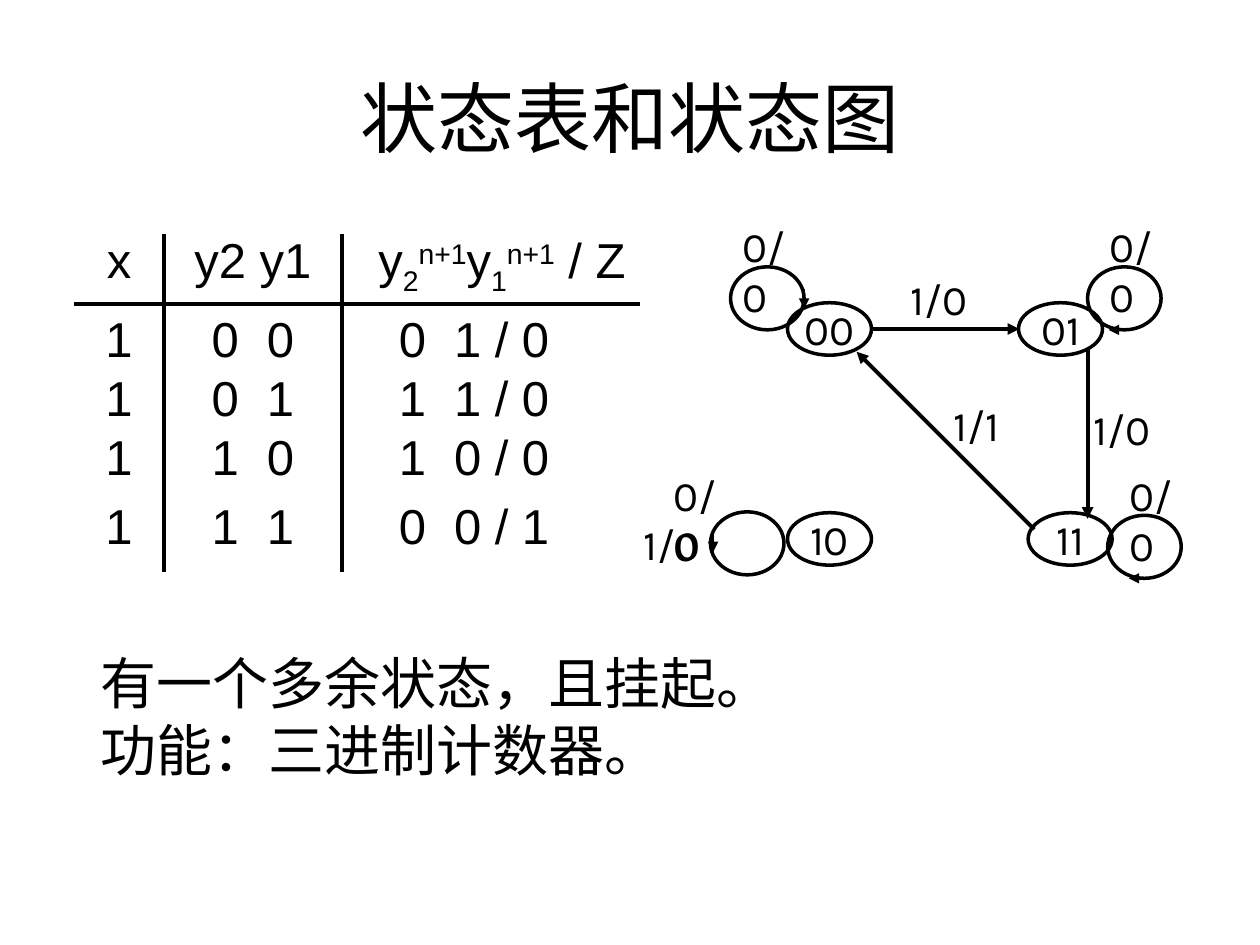
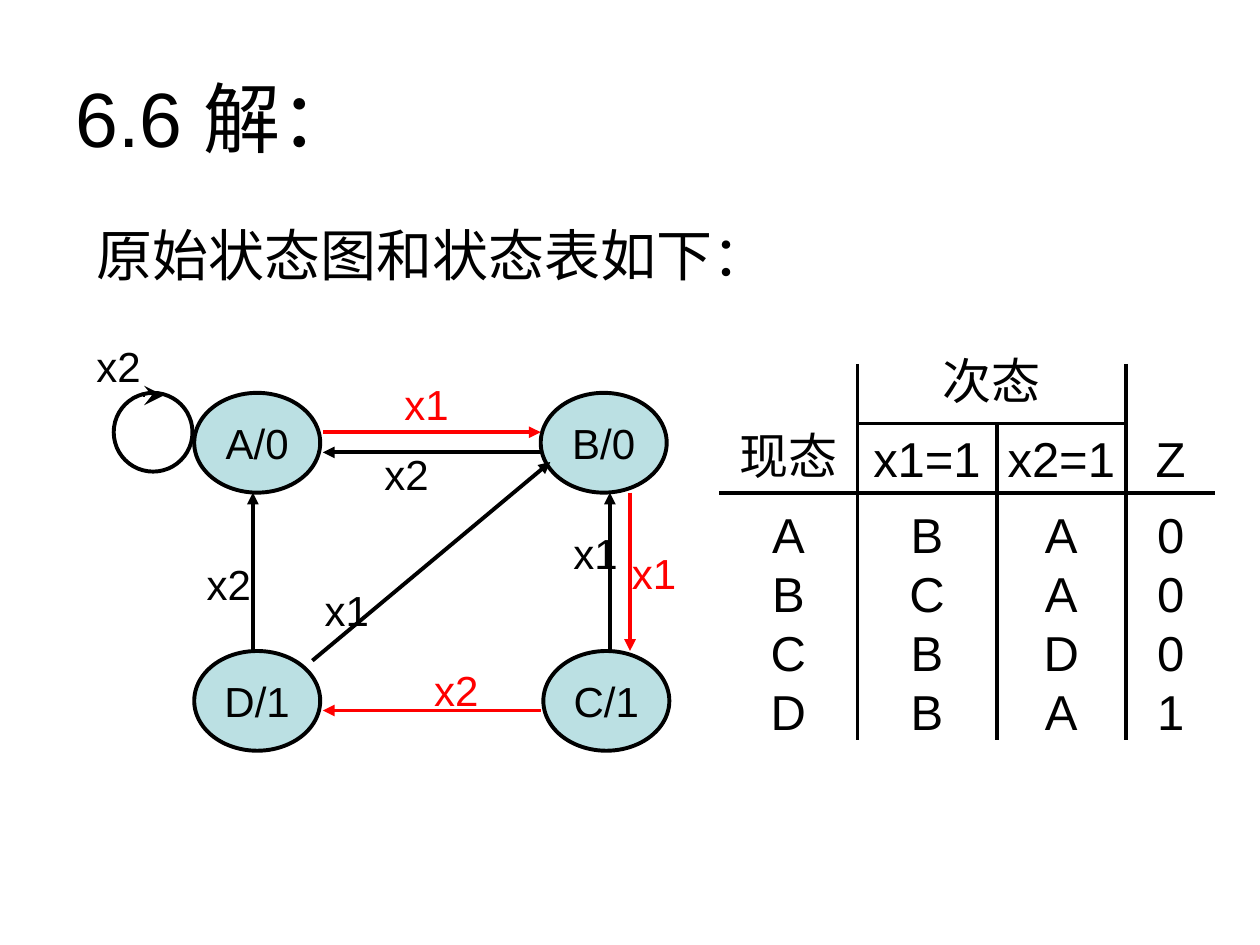
from dataclasses import dataclass

from lxml.etree import SubElement
from pptx import Presentation
from pptx.dml.color import RGBColor
from pptx.enum.shapes import MSO_CONNECTOR, MSO_SHAPE
from pptx.enum.text import MSO_ANCHOR, PP_ALIGN
from pptx.oxml.ns import qn
from pptx.util import Pt


@dataclass(frozen=True)
class Theme:
    ink: str = "000000"
    accent: str = "FF0000"
    state_fill: str = "BBE0E3"
    font: str = "Arial"
    diagram_font: str = "Karla"
    title_size: float = 44
    note_size: float = 32
    table_size: float = 28
    label_size: float = 24
    rule: float = 2.25
    outline: float = 2
    tip: float = 1


THEME = Theme()
ALIGN = {"l": PP_ALIGN.LEFT, "c": PP_ALIGN.CENTER, "r": PP_ALIGN.RIGHT}
NO_STYLE = "{2D5ABB26-0587-4C30-8999-92F81FD0307C}"
LABEL_SIZE = (50, 36)

# Content: text pieces are (text, baseline shift in percent)
NEXT_STATE = [("y", 0), ("2", -25), ("n+1", 30), ("y", 0), ("1", -25),
              ("n+1", 30), (" / Z", 0)]

COUNTER = {
    "title": "状态表和状态图",
    "title_align": "c",
    "notes": ["有一个多余状态，且挂起。", "功能：三进制计数器。"],
    "notes_at": (50.5, 367, 399, 84),
    "table": {
        "at": (42.5, 134),
        "widths": [51, 51, 51, 56, 114],
        "heights": [39.5, 36.5, 34, 33.5, 39.5],
        "rows": [
            ["x", "y2 y1", "", NEXT_STATE, ""],
            ["1", "0", "0", "0", "1 / 0"],
            ["1", "0", "1", "1", "1 / 0"],
            ["1", "1", "0", "1", "0 / 0"],
            ["1", "1", "1", "0", "0 / 1"],
        ],
        "header_rows": 1,
        "header_align": "cccrl",
        "header_anchor": MSO_ANCHOR.TOP,
        "body_align": "crlrl",
        "merges": [(0, 1, 2), (0, 3, 4)],
        "rules": [(42.5, 173.5, 365.5, 173.5),
                  (93.5, 134, 93.5, 327),
                  (195.5, 134, 195.5, 327)],
    },
    "diagram": {
        "font": THEME.diagram_font,
        "outline": THEME.outline,
        "fill": None,
        "state_size": (48, 30),
        "states": {"00": (450, 173), "10": (450, 293),
                   "11": (587.5, 293), "01": (582, 173)},
        "loop_size": (42, 36),
        "loops": [(417.5, 152.5), (621.5, 152.5), (406, 292.5), (633, 294.5)],
        "loop_tips": [(459.5, 165, 459.5, 176.5), (645, 188.5, 633.5, 188.5),
                      (407.5, 303, 407.5, 315.5), (656.5, 330.5, 645, 330.5)],
        "tip": {"head": "triangle", "width": THEME.tip},
        "arrows": [(498, 188, 582.5, 188, THEME.ink),
                   (621.5, 199.5, 621.5, 296.5, THEME.ink),
                   (591, 302.5, 489.5, 201, THEME.ink)],
        "labels": [("1/0", 513.5, 152.5, THEME.ink),
                   ("1/1", 538, 224.5, THEME.ink),
                   ("0/0", 378, 264.5, THEME.ink),
                   ("1/0", 618, 227, THEME.ink),
                   ("0/0", 417.5, 122.5, THEME.ink),
                   ("0/0", 627, 122.5, THEME.ink),
                   ("1/0", 360.5, 292.5, THEME.ink),
                   ("0/0", 638.5, 264.5, THEME.ink)],
    },
}

SOLUTION = {
    "title": "6.6 解：",
    "title_align": "l",
    "notes": ["原始状态图和状态表如下："],
    "notes_at": (48, 122.5, 399, 46),
    "table": {
        "at": (411, 196),
        "widths": [79, 79.5, 74, 51],
        "heights": [34, 49, 43.5, 32.5, 32.5, 32.5],
        "rows": [
            ["", "次态", "", ""],
            ["现态", "x1=1", "x2=1", "Z"],
            ["A", "B", "A", "0"],
            ["B", "C", "A", "0"],
            ["C", "B", "D", "0"],
            ["D", "B", "A", "1"],
        ],
        "header_rows": 2,
        "header_align": "cccc",
        "header_anchor": MSO_ANCHOR.BOTTOM,
        "body_align": "cccc",
        "merges": [(0, 1, 2)],
        "rules": [(490, 242, 643.5, 242),
                  (411, 281.5, 694.5, 281.5),
                  (490, 208, 490, 423),
                  (643.5, 208, 643.5, 423),
                  (569.5, 242, 569.5, 423)],
    },
    "diagram": {
        "font": THEME.font,
        "outline": THEME.rule,
        "fill": THEME.state_fill,
        "state_size": (72, 57),
        "states": {"A/0": (111, 224.5), "B/0": (309, 224.5),
                   "C/1": (310.5, 372), "D/1": (111, 372)},
        "loop_size": (45, 45),
        "loops": [(65, 224.5)],
        "loop_tips": [(82, 226, 93.5, 226)],
        "tip": {"head": "stealth", "head_size": "lg"},
        "arrows": [(184.5, 247, 309, 247, THEME.accent),
                   (360, 281.5, 360, 372, THEME.accent),
                   (309, 406, 184.5, 406, THEME.accent),
                   (348.5, 372, 348.5, 281.5, THEME.ink),
                   (144.5, 372, 144.5, 281.5, THEME.ink),
                   (178.5, 377.5, 314.5, 264, THEME.ink),
                   (309, 258.5, 184.5, 258.5, THEME.ink)],
        "labels": [("x1", 224, 213, THEME.accent),
                   ("x1", 354, 309.5, THEME.accent),
                   ("x2", 241, 376, THEME.accent),
                   ("x2", 48, 191, THEME.ink),
                   ("x1", 320.5, 298, THEME.ink),
                   ("x2", 111, 315.5, THEME.ink),
                   ("x1", 178.5, 330.5, THEME.ink),
                   ("x2", 212.5, 252.5, THEME.ink)],
    },
}


# Text
def write(paragraph, content, size, align="l", font=THEME.font, color=THEME.ink):
    pieces = [(content, 0)] if isinstance(content, str) else content
    for text, shift in pieces:
        run = paragraph.add_run()
        run.text = text
        if shift:
            run._r.get_or_add_rPr().set("baseline", str(shift * 1000))
    paragraph.alignment = ALIGN[align]
    paragraph.font.size = Pt(size)
    paragraph.font.name = font
    paragraph.font.color.rgb = RGBColor.from_string(color)


def add_text(slide, box, lines, size, anchor=MSO_ANCHOR.TOP, **style):
    frame = slide.shapes.add_textbox(*map(Pt, box)).text_frame
    frame.word_wrap = True
    frame.vertical_anchor = anchor
    for number, line in enumerate(lines):
        paragraph = frame.add_paragraph() if number else frame.paragraphs[0]
        write(paragraph, line, size, **style)


# Lines and arrows
def add_line(slide, ends, color=THEME.ink, width=THEME.rule, head=None,
             head_size="med"):
    line = slide.shapes.add_connector(MSO_CONNECTOR.STRAIGHT, *map(Pt, ends))
    line.line.color.rgb = RGBColor.from_string(color)
    line.line.width = Pt(width)
    if head:
        SubElement(line.line._get_or_add_ln(), qn("a:tailEnd"),
                   type=head, w=head_size, len=head_size)
    SubElement(line._element.spPr, qn("a:effectLst"))


# State table: plain cells, with open rules drawn over them
def add_state_table(slide, table):
    widths, heights, rows = table["widths"], table["heights"], table["rows"]
    grid = slide.shapes.add_table(
        len(rows), len(widths), *map(Pt, table["at"]),
        Pt(sum(widths)), Pt(sum(heights))).table
    grid._tbl.tblPr.find(qn("a:tableStyleId")).text = NO_STYLE
    grid.first_row = grid.horz_banding = False
    for column, width in zip(grid.columns, widths):
        column.width = Pt(width)
    for row, height in zip(grid.rows, heights):
        row.height = Pt(height)
    for row, first, last in table["merges"]:
        grid.cell(row, first).merge(grid.cell(row, last))
    for r, texts in enumerate(rows):
        is_header = r < table["header_rows"]
        aligns = table["header_align" if is_header else "body_align"]
        anchor = table["header_anchor"] if is_header else MSO_ANCHOR.BOTTOM
        for c, (text, align) in enumerate(zip(texts, aligns)):
            cell = grid.cell(r, c)
            cell.margin_top = cell.margin_bottom = 0
            cell.margin_left = cell.margin_right = Pt(0 if align == "c" else 8)
            cell.vertical_anchor = anchor
            cell.fill.background()
            if text:
                write(cell.text_frame.paragraphs[0], text, THEME.table_size, align)
    for ends in table["rules"]:
        add_line(slide, ends)


# State diagram
def add_ellipse(slide, at, size, outline, fill=None):
    ellipse = slide.shapes.add_shape(MSO_SHAPE.OVAL, *map(Pt, at + size))
    ellipse.shadow.inherit = False
    ellipse.line.color.rgb = RGBColor.from_string(THEME.ink)
    ellipse.line.width = Pt(outline)
    if fill:
        ellipse.fill.solid()
        ellipse.fill.fore_color.rgb = RGBColor.from_string(fill)
    else:
        ellipse.fill.background()
    return ellipse


def add_diagram(slide, diagram):
    font, outline = diagram["font"], diagram["outline"]
    for name, at in diagram["states"].items():
        state = add_ellipse(slide, at, diagram["state_size"], outline, diagram["fill"])
        state.text_frame.word_wrap = False
        state.text_frame.vertical_anchor = MSO_ANCHOR.MIDDLE
        write(state.text_frame.paragraphs[0], name, THEME.label_size, "c", font)
    for at in diagram["loops"]:
        add_ellipse(slide, at, diagram["loop_size"], outline)
    for ends in diagram["loop_tips"]:
        add_line(slide, ends, **diagram["tip"])
    for *ends, color in diagram["arrows"]:
        add_line(slide, ends, color, head="triangle")
    for text, left, top, color in diagram["labels"]:
        add_text(slide, (left, top, *LABEL_SIZE), [text], THEME.label_size,
                 font=font, color=color)


def main():
    deck = Presentation()
    deck.slide_width, deck.slide_height = Pt(720), Pt(540)
    for content in (COUNTER, SOLUTION):
        slide = deck.slides.add_slide(deck.slide_layouts[6])
        add_text(slide, (36, 21.5, 648, 90), [content["title"]], THEME.title_size,
                 MSO_ANCHOR.MIDDLE, align=content["title_align"])
        add_state_table(slide, content["table"])
        add_diagram(slide, content["diagram"])
        add_text(slide, content["notes_at"], content["notes"], THEME.note_size)
    deck.save("out.pptx")


if __name__ == "__main__":
    main()
